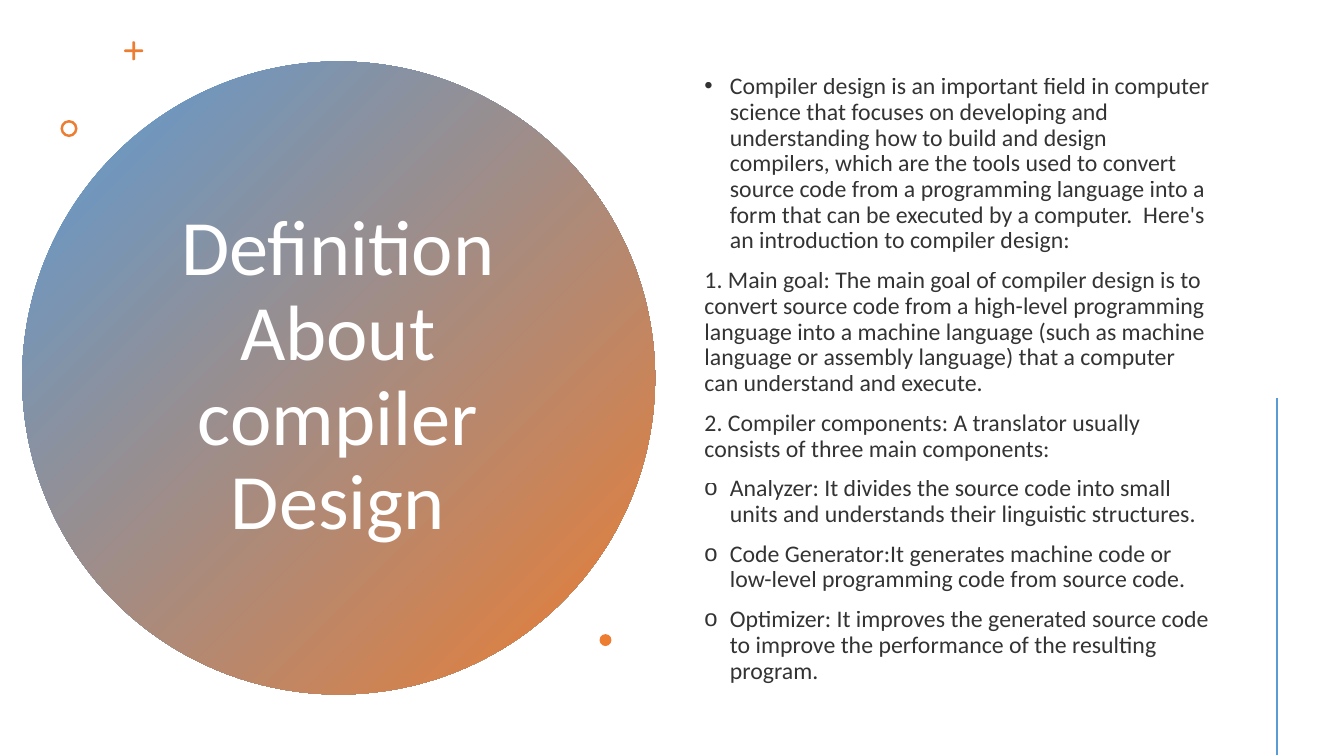
from dataclasses import dataclass

from lxml import etree
from pptx import Presentation
from pptx.dml.color import RGBColor
from pptx.enum.shapes import MSO_CONNECTOR, MSO_SHAPE
from pptx.enum.text import MSO_ANCHOR, MSO_AUTO_SIZE, PP_ALIGN
from pptx.oxml.ns import qn
from pptx.shapes.autoshape import Shape
from pptx.slide import Slide
from pptx.text.text import _Paragraph
from pptx.util import Cm, Pt

STRAIGHT = MSO_CONNECTOR.STRAIGHT
OVAL, DONUT, ROUNDED = MSO_SHAPE.OVAL, MSO_SHAPE.DONUT, MSO_SHAPE.ROUNDED_RECTANGLE
MIDDLE, NO_AUTOFIT = MSO_ANCHOR.MIDDLE, MSO_AUTO_SIZE.NONE
LEFT, CENTER = PP_ALIGN.LEFT, PP_ALIGN.CENTER

FONT = "Calibri"
BLUE, ORANGE, WHITE, BLACK = "5B9BD5", "ED7D31", "FFFFFF", "000000"
BODY_OPACITY = 80
BULLET_INDENT = Cm(0.64)


@dataclass(frozen=True)
class Ornament:
    """A small orange mark, placed by its centre in centimetres."""

    kind: MSO_SHAPE
    center_x: float
    center_y: float
    width: float
    height: float
    adjustment: float | None = None


@dataclass(frozen=True)
class BodyItem:
    """A paragraph of the body with its optional bullet."""

    text: str
    bullet: str = ""


ORNAMENTS = [
    Ornament(ROUNDED, 3.37, 1.28, 0.48, 0.07, 0.5),
    Ornament(ROUNDED, 3.37, 1.28, 0.07, 0.48, 0.5),
    Ornament(DONUT, 1.74, 3.24, 0.43, 0.43, 0.15),
    Ornament(OVAL, 15.26, 16.13, 0.3, 0.3),
]

BODY_ITEMS = [
    BodyItem(
        "Compiler design is an important field in computer science that focuses on "
        "developing and understanding how to build and design compilers, which are the "
        "tools used to convert source code from a programming language into a form that "
        "can be executed by a computer.  Here's an introduction to compiler design:",
        "•",
    ),
    BodyItem(
        "1. Main goal: The main goal of compiler design is to convert source code from a "
        "high-level programming language into a machine language (such as machine "
        "language or assembly language) that a computer can understand and execute."
    ),
    BodyItem(
        "2. Compiler components: A translator usually consists of three main components:"
    ),
    BodyItem(
        "Analyzer: It divides the source code into small units and understands their "
        "linguistic structures.",
        "o",
    ),
    BodyItem(
        "Code Generator:It generates machine code or low-level programming code from "
        "source code.",
        "o",
    ),
    BodyItem(
        "Optimizer: It improves the generated source code to improve the performance of "
        "the resulting program.",
        "o",
    ),
]


def color(value: str) -> RGBColor:
    """Turn a hex string into a colour."""
    return RGBColor.from_string(value)


def place(shape: Shape, left: float, top: float, width: float, height: float) -> None:
    """Move a placeholder and centre its text vertically."""
    shape.left, shape.top = Cm(left), Cm(top)
    shape.width, shape.height = Cm(width), Cm(height)
    frame = shape.text_frame
    frame.word_wrap = True
    frame.auto_size = NO_AUTOFIT
    frame.vertical_anchor = MIDDLE


def format_paragraph(
    paragraph: _Paragraph, size: float, font_color: str, alignment: PP_ALIGN, before: float
) -> None:
    """Set the spacing of a paragraph and the font of its runs."""
    paragraph.alignment = alignment
    paragraph.line_spacing = 0.9
    paragraph.space_before = Pt(before)
    for run in paragraph.runs:
        run.font.name = FONT
        run.font.size = Pt(size)
        run.font.color.rgb = color(font_color)


def set_bullet(paragraph: _Paragraph, bullet: str) -> None:
    """Give a paragraph a hanging bullet, or neither bullet nor indent."""
    properties = paragraph._p.get_or_add_pPr()
    indent = BULLET_INDENT if bullet else 0
    properties.set("marL", str(indent))
    properties.set("indent", str(-indent))
    if bullet:
        etree.SubElement(properties, qn("a:buFont"), typeface="Arial")
        etree.SubElement(properties, qn("a:buChar"), char=bullet)
    else:
        etree.SubElement(properties, qn("a:buNone"))


def set_opacity(paragraph: _Paragraph, percent: int) -> None:
    """Make the text colour of a paragraph partly transparent."""
    for text_color in paragraph._p.iter(qn("a:srgbClr")):
        etree.SubElement(text_color, qn("a:alpha"), val=str(percent * 1000))


def add_title(slide: Slide) -> None:
    """Write the title over a circle with a diagonal gradient."""
    circle = slide.shapes.add_shape(OVAL, Cm(0.56), Cm(1.55), Cm(15.95), Cm(15.95))
    circle.shadow.inherit = False
    circle.line.fill.background()
    circle.fill.gradient()
    circle.fill.gradient_angle = 315
    for stop, position, value in zip(circle.fill.gradient_stops, (0, 1), (BLUE, ORANGE)):
        stop.position = position
        stop.color.rgb = color(value)

    title = slide.shapes.title
    title.element.addprevious(circle.element)
    place(title, 3.45, 3.58, 10.13, 11.86)
    title.text_frame.text = "Definition About compiler Design"
    format_paragraph(title.text_frame.paragraphs[0], 56, WHITE, CENTER, 0)


def add_body(slide: Slide, items: list[BodyItem]) -> None:
    """Fill the body placeholder with the explanation."""
    body = slide.placeholders[1]
    place(body, 17.5, 1.45, 13.26, 16.21)
    frame = body.text_frame
    frame.text = "\n".join(item.text for item in items)
    for paragraph, item in zip(frame.paragraphs, items):
        format_paragraph(paragraph, 17, BLACK, LEFT, 10)
        set_bullet(paragraph, item.bullet)
        set_opacity(paragraph, BODY_OPACITY)


def add_ornament(slide: Slide, ornament: Ornament) -> None:
    """Draw one mark around the circle."""
    shape = slide.shapes.add_shape(
        ornament.kind,
        Cm(ornament.center_x - ornament.width / 2),
        Cm(ornament.center_y - ornament.height / 2),
        Cm(ornament.width),
        Cm(ornament.height),
    )
    shape.shadow.inherit = False
    shape.fill.solid()
    shape.fill.fore_color.rgb = color(ORANGE)
    shape.line.fill.background()
    if ornament.adjustment is not None:
        shape.adjustments[0] = ornament.adjustment


def add_side_line(slide: Slide) -> None:
    """Draw the vertical line at the right edge."""
    line = slide.shapes.add_connector(STRAIGHT, Cm(32.18), Cm(10.03), Cm(32.18), Cm(19.02))
    line.line.color.rgb = color(BLUE)
    line.line.width = Pt(2)
    etree.SubElement(line.element.spPr, qn("a:effectLst"))


def main() -> None:
    """Build and save the slide."""
    presentation = Presentation()
    presentation.slide_width, presentation.slide_height = Cm(33.87), Cm(19.05)
    slide = presentation.slides.add_slide(presentation.slide_layouts[1])
    add_title(slide)
    add_body(slide, BODY_ITEMS)
    for ornament in ORNAMENTS:
        add_ornament(slide, ornament)
    add_side_line(slide)
    presentation.save("out.pptx")


if __name__ == "__main__":
    main()
